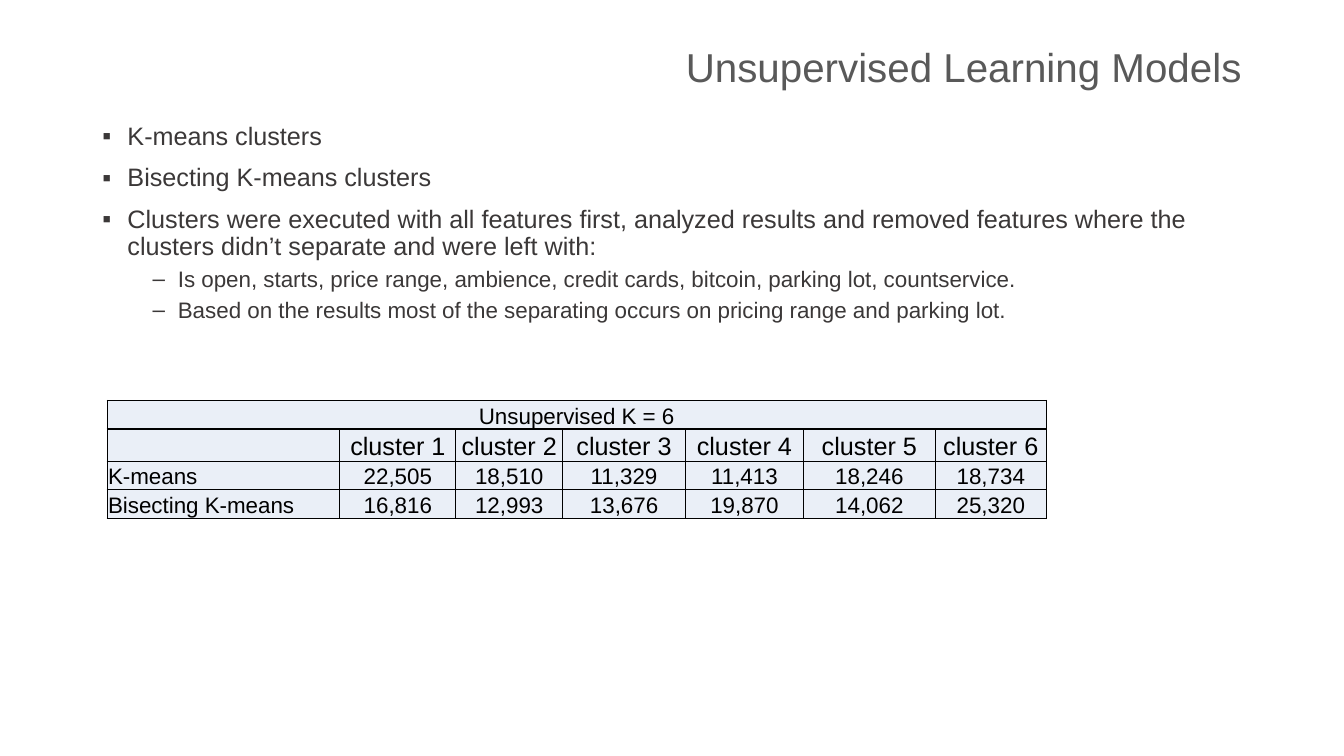
from dataclasses import dataclass

from lxml.etree import SubElement as Sub
from pptx import Presentation
from pptx.dml.color import RGBColor as RGB
from pptx.enum.text import MSO_ANCHOR as Anchor, PP_ALIGN as Align
from pptx.oxml.ns import qn
from pptx.util import Pt


@dataclass(frozen=True)
class Theme:
    face: str = "Arial"
    title: str = "595959"
    body: str = "3B3838"
    ink: str = "000000"
    cell: str = "EAEFF7"
    big: float = 28.8
    mid: float = 18
    small: float = 16


LEVELS = (
    {"mark": "▪", "left": 18, "gap": 10},
    {"mark": "‒", "left": 54, "gap": 5},
)
POINTS = (
    (0, "K-means clusters"),
    (0, "Bisecting K-means clusters"),
    (0, "Clusters were executed with all features first, analyzed results and "
        "removed features where the clusters didn’t separate and were left with:"),
    (1, "Is open, starts, price range, ambience, credit cards, bitcoin, "
        "parking lot, countservice."),
    (1, "Based on the results most of the separating occurs on pricing range "
        "and parking lot."),
)
ROWS = (
    ("Unsupervised K = 6",) + ("",) * 6,
    ("",) + tuple(f"cluster {n}" for n in range(1, 7)),
    ("K-means", "22,505", "18,510", "11,329", "11,413", "18,246", "18,734"),
    ("Bisecting K-means", "16,816", "12,993", "13,676", "19,870", "14,062", "25,320"),
)
WIDTHS = (166.3, 82.8, 76.3, 87.8, 84.2, 94.3, 79.2)
HEIGHTS = (20.4, 23, 20.4, 20.4)


def apply(target, values):
    for name, value in values.items():
        setattr(target, name, value)


class Deck:
    def __init__(self, theme):
        self.theme = theme
        self.show = Presentation()
        apply(self.show, {"slide_width": Pt(960), "slide_height": Pt(540)})
        self.slide = self.show.slides.add_slide(self.show.slide_layouts[6])

    def label(self, para, text, size, color, **layout):
        """Add one styled run to a paragraph and set the paragraph's layout."""
        apply(para, layout)
        run = para.add_run()
        run.text = text
        apply(run.font, {"name": self.theme.face, "size": Pt(size)})
        run.font.color.rgb = RGB.from_string(color)

    def frame(self, *box, anchor=Anchor.TOP):
        frame = self.slide.shapes.add_textbox(*map(Pt, box)).text_frame
        apply(frame, {"word_wrap": True, "vertical_anchor": anchor})
        return frame

    def title(self, text, *box):
        para = self.frame(*box, anchor=Anchor.MIDDLE).paragraphs[0]
        self.label(para, text, self.theme.big, self.theme.title,
                   alignment=Align.RIGHT, line_spacing=0.9)

    def bullets(self, points, *box):
        frame = self.frame(*box)
        sizes = (self.theme.mid, self.theme.small)
        for i, (level, text) in enumerate(points):
            para = frame.add_paragraph() if i else frame.paragraphs[0]
            style = LEVELS[level]
            self.label(para, text, sizes[level], self.theme.body, level=level,
                       line_spacing=0.9, space_before=Pt(style["gap"]))
            props = para._p.get_or_add_pPr()
            props.set("marL", str(Pt(style["left"])))
            props.set("indent", str(Pt(-18)))
            Sub(props, qn("a:buFont"), typeface=self.theme.face)
            Sub(props, qn("a:buChar"), char=style["mark"])

    def border(self, cell):
        props = cell._tc.get_or_add_tcPr()
        for side in "LRTB":
            line = Sub(props, qn(f"a:ln{side}"), w=str(Pt(1)))
            fill = Sub(line, qn("a:solidFill"))
            Sub(fill, qn("a:srgbClr"), val=self.theme.ink)

    def table(self, rows, widths, heights, left, top):
        box = map(Pt, (left, top, sum(widths), sum(heights)))
        grid = self.slide.shapes.add_table(len(rows), len(widths), *box).table
        for col, width in zip(grid.columns, widths):
            col.width = Pt(width)
        for row, height in zip(grid.rows, heights):
            row.height = Pt(height)
        for r, row in enumerate(rows):
            for c, text in enumerate(row):
                cell = grid.cell(r, c)
                apply(cell, {"margin_left": Pt(0.7), "margin_right": Pt(0.7),
                             "margin_top": Pt(0.7), "margin_bottom": 0,
                             "vertical_anchor": Anchor.BOTTOM})
                self.border(cell)
                cell.fill.solid()
                cell.fill.fore_color.rgb = RGB.from_string(self.theme.cell)
                if text:
                    size = self.theme.mid if r == 1 else self.theme.small
                    side = Align.LEFT if r > 1 and c == 0 else Align.CENTER
                    self.label(cell.text_frame.paragraphs[0], text, size,
                               self.theme.ink, alignment=side)
        grid.cell(0, 0).merge(grid.cell(0, len(widths) - 1))


def main():
    deck = Deck(Theme())
    deck.title("Unsupervised Learning Models", 66, 28.8, 828, 41)
    deck.bullets(POINTS, 66, 85, 828, 402.5)
    deck.table(ROWS, WIDTHS, HEIGHTS, 76.5, 286)
    deck.show.save("out.pptx")


if __name__ == "__main__":
    main()
